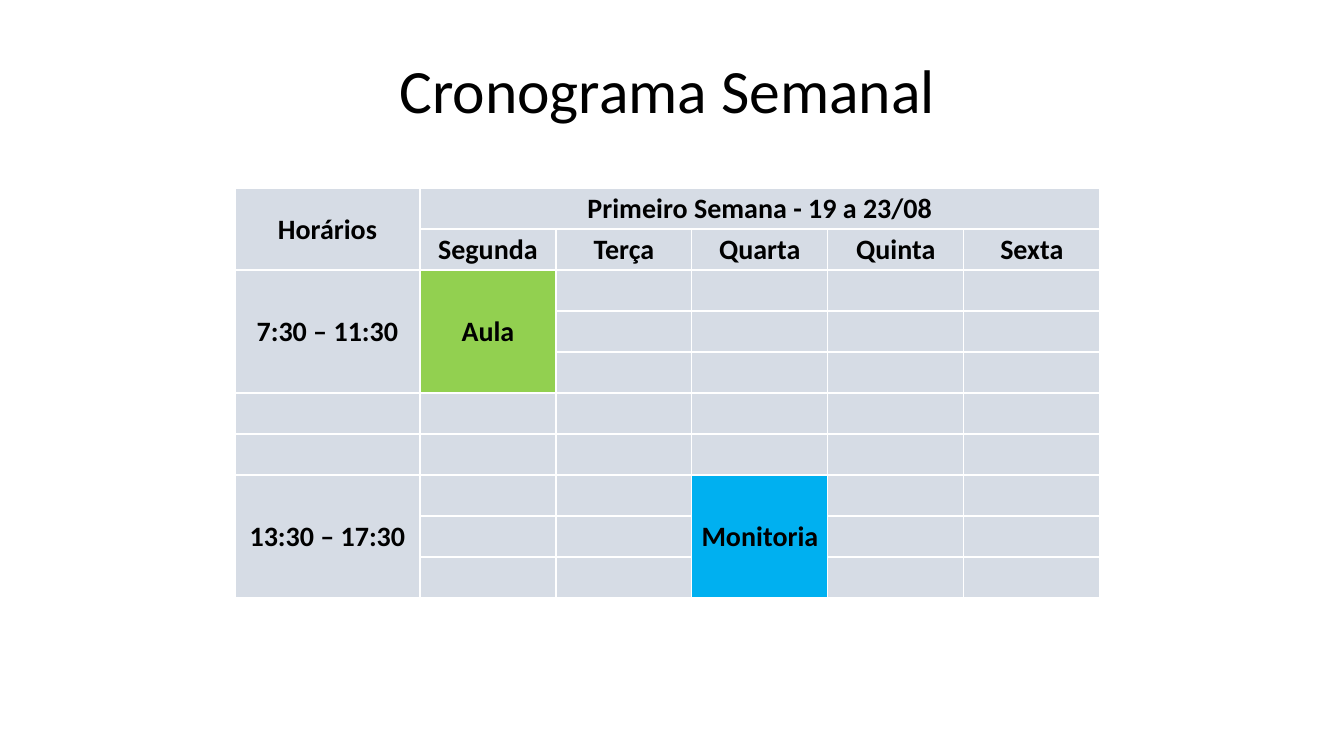
from lxml.etree import SubElement
from pptx import Presentation
from pptx.dml.color import RGBColor
from pptx.enum.text import MSO_ANCHOR, PP_ALIGN
from pptx.oxml.ns import qn
from pptx.util import Emu, Pt

# Content: (row, column, row span, column span, text, fill)
TITLE = "Cronograma Semanal"
GRAY, GREEN, BLUE, WHITE, BLACK = "D6DCE5", "92D050", "00B0F0", "FFFFFF", "000000"
DAYS = ["Segunda", "Terça", "Quarta", "Quinta", "Sexta"]
ENTRIES = [
    (0, 0, 2, 1, "Horários", GRAY),
    (0, 1, 1, 5, "Primeiro Semana - 19 a 23/08", GRAY),
    (2, 0, 3, 1, "7:30 – 11:30", GRAY),
    (2, 1, 3, 1, "Aula", GREEN),
    (7, 0, 3, 1, "13:30 – 17:30", GRAY),
    (7, 3, 3, 1, "Monitoria", BLUE),
] + [(1, col, 1, 1, day, GRAY) for col, day in enumerate(DAYS, 1)]

# Layout in px
SLIDE_W, SLIDE_H = 1344, 756
TITLE_BOX = (88, 21, 1159, 146)
TABLE_X, TABLE_Y = 235, 188
COL_WIDTHS = [185] + [136] * len(DAYS)
ROWS, ROW_H = 10, 41
FONT = "Calibri"


def px(n):
    return Emu(round(n * 914400 / 100.8))


def rgb(color):
    return RGBColor.from_string(color)


def format_text(tf, size, bold):
    p = tf.paragraphs[0]
    p.alignment = PP_ALIGN.CENTER
    for r in p.runs:
        r.font.name, r.font.size, r.font.bold = FONT, Pt(size), bold
        r.font.color.rgb = rgb(BLACK)


def style_cell(cell):
    cell.margin_left = cell.margin_right = cell.margin_top = px(1)
    cell.margin_bottom = 0
    cell.vertical_anchor = MSO_ANCHOR.MIDDLE
    tcPr = cell._tc.get_or_add_tcPr()
    for side in ("a:lnL", "a:lnR", "a:lnT", "a:lnB"):
        ln = SubElement(tcPr, qn(side), w=str(Pt(1)))
        SubElement(SubElement(ln, qn("a:solidFill")), qn("a:srgbClr"), val=WHITE)
    cell.fill.solid()
    cell.fill.fore_color.rgb = rgb(GRAY)


prs = Presentation()
prs.slide_width, prs.slide_height = px(SLIDE_W), px(SLIDE_H)
slide = prs.slides.add_slide(prs.slide_layouts[5])

# Title
title = slide.shapes.title
title.left, title.top, title.width, title.height = map(px, TITLE_BOX)
tf = title.text_frame
tf.text = TITLE
tf.vertical_anchor = MSO_ANCHOR.MIDDLE
tf.paragraphs[0].line_spacing = 0.9
format_text(tf, 44, False)

# Timetable grid
table = slide.shapes.add_table(
    ROWS, len(COL_WIDTHS), px(TABLE_X), px(TABLE_Y),
    px(sum(COL_WIDTHS)), px(ROWS * ROW_H)).table
table.first_row = table.horz_banding = False
for column, width in zip(table.columns, COL_WIDTHS):
    column.width = px(width)
for row in table.rows:
    row.height = px(ROW_H)
for cell in table.iter_cells():
    style_cell(cell)

# Headings, hours and activities
for row, col, row_span, col_span, text, color in ENTRIES:
    cell = table.cell(row, col)
    if row_span * col_span > 1:
        cell.merge(table.cell(row + row_span - 1, col + col_span - 1))
    cell.text_frame.text = text
    cell.fill.fore_color.rgb = rgb(color)
    format_text(cell.text_frame, 20, True)

prs.save("out.pptx")
